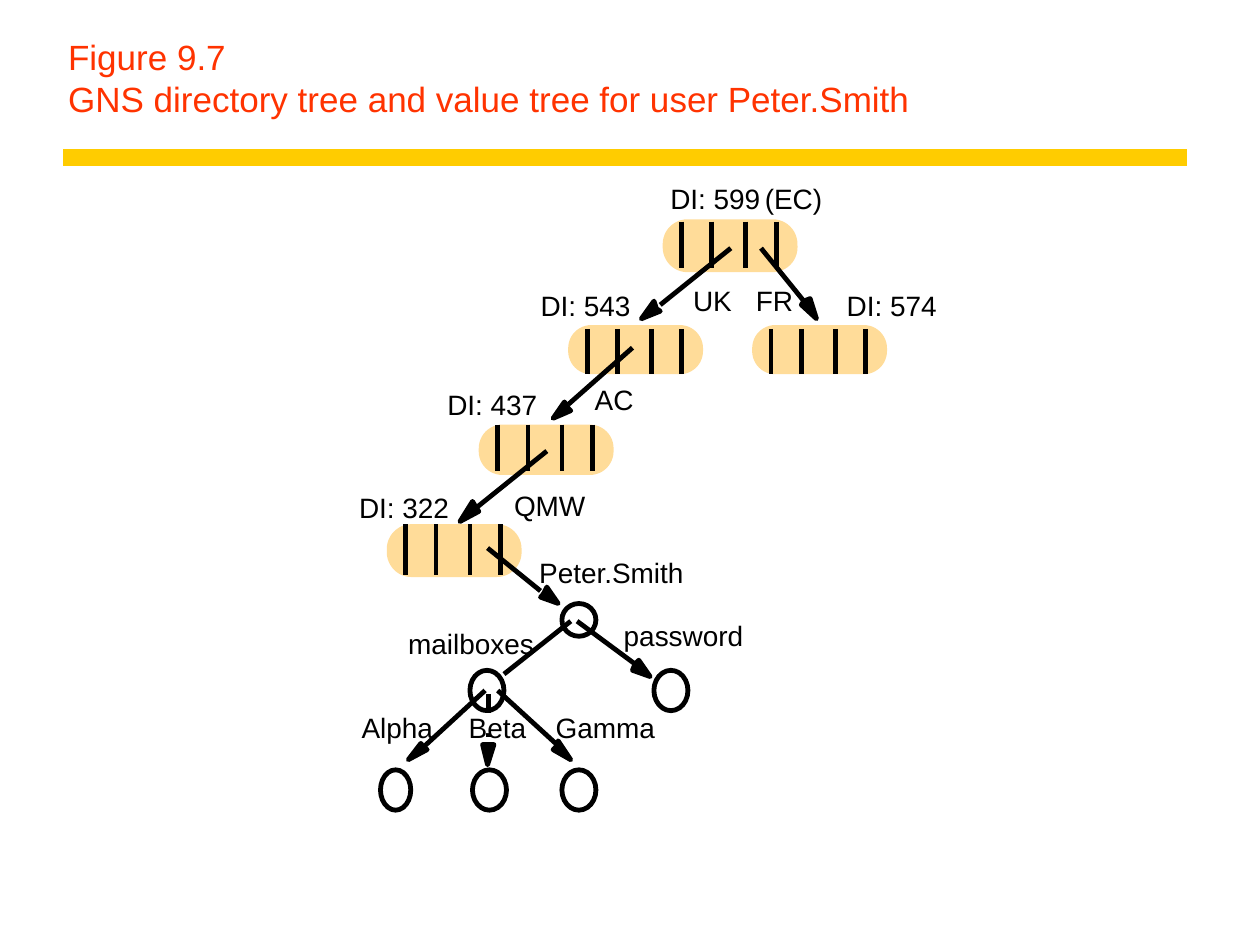
from pptx import Presentation
from pptx.dml.color import RGBColor
from pptx.enum.shapes import MSO_CONNECTOR, MSO_SHAPE
from pptx.enum.text import MSO_ANCHOR, MSO_AUTO_SIZE, PP_ALIGN
from pptx.oxml.ns import qn
from pptx.util import Inches, Pt
from lxml import etree

THEME = {
    "font": "Arial", "title_size": 20, "label_size": 16,
    "title": "FF3300", "rule": "FFCC00", "record": "FFDC99",
    "ink": "000000", "paper": "FFFFFF",
    "rule_width": 10, "stroke": 2.75,
}

TITLE_LINES = ["Figure 9.7", "GNS directory tree and value tree for user Peter.Smith"]

# Directory records: left, top, height, separator top, separator bottom
RECORD_WIDTH = 1.07
SEPARATOR_OFFSETS = [0.15, 0.39, 0.66, 0.9]
RECORDS = [
    (5.26, 1.74, 0.42, 1.76, 2.13),
    (4.51, 2.58, 0.39, 2.61, 2.97),
    (5.97, 2.58, 0.39, 2.61, 2.97),
    (3.8, 3.37, 0.4, 3.37, 3.74),
    (3.07, 4.16, 0.42, 4.16, 4.56),
]

# Value tree nodes: left, top, width, height
NODES = [
    (4.46, 4.79, 0.27, 0.26),
    (3.73, 5.32, 0.27, 0.32), (5.19, 5.32, 0.27, 0.32),
    (3.02, 6.11, 0.24, 0.32), (3.75, 6.11, 0.27, 0.32), (4.46, 6.11, 0.27, 0.32),
]

# Branches: start, end, outline of the arrowhead
BRANCHES = [
    ((5.8, 1.97), (5.24, 2.42), [(5.21, 2.45), (5.24, 2.47), (5.09, 2.53), (5.19, 2.39)]),
    ((6.04, 1.97), (6.38, 2.39), [(6.38, 2.39), (6.43, 2.37), (6.48, 2.53), (6.36, 2.42)]),
    ((5.02, 2.76), (4.51, 3.21), [(4.51, 3.24), (4.53, 3.26), (4.39, 3.32), (4.48, 3.19)]),
    ((4.34, 3.58), (3.78, 4.03), [(3.78, 4.03), (3.8, 4.06), (3.65, 4.14), (3.75, 3.98)]),
    ((3.87, 4.35), (4.29, 4.69), [(4.31, 4.72), (4.34, 4.66), (4.43, 4.79), (4.29, 4.74)]),
    ((4.53, 4.93), (4, 5.35), []),
    ((4.58, 4.93), (5.04, 5.27), [(5.04, 5.27), (5.07, 5.24), (5.16, 5.37), (5.02, 5.32)]),
    ((3.85, 5.48), (3.36, 5.93), [(3.36, 5.93), (3.39, 5.95), (3.24, 6.03), (3.34, 5.9)]),
    ((3.88, 5.51), (3.88, 5.85), [(3.87, 5.91), (3.92, 5.91), (3.87, 6.07), (3.83, 5.91)]),
    ((3.95, 5.48), (4.41, 5.9), [(4.41, 5.93), (4.43, 5.88), (4.53, 6.03), (4.39, 5.95)]),
]

BETA_BACKING = (3.68, 5.66, 0.41, 0.16)

# Labels: text, left, top, width
LABEL_HEIGHT = 0.27
LABELS = [
    ("DI: 599", 5.32, 1.44, 0.78), ("(EC)", 6.07, 1.44, 0.46),
    ("DI: 543", 4.29, 2.29, 0.72), ("DI: 574", 6.72, 2.29, 0.72),
    ("DI: 437", 3.55, 3.08, 0.72), ("DI: 322", 2.85, 3.89, 0.72),
    ("UK", 5.5, 2.25, 0.31), ("FR", 6, 2.25, 0.3),
    ("AC", 4.72, 3.04, 0.31), ("QMW", 4.08, 3.88, 0.57),
    ("Peter.Smith", 4.28, 4.41, 1.16),
    ("mailboxes", 3.24, 4.97, 1), ("password", 4.95, 4.91, 0.95),
    ("Alpha", 2.87, 5.64, 0.57), ("Beta", 3.72, 5.64, 0.46), ("Gamma", 4.41, 5.64, 0.79),
]


def color(role):
    return RGBColor.from_string(THEME[role])


def paint(shape, fill, outlined):
    shape.shadow.inherit = False
    shape.fill.solid()
    shape.fill.fore_color.rgb = color(fill)
    if outlined:
        shape.line.color.rgb = color("ink")
        shape.line.width = Pt(THEME["stroke"])
    else:
        shape.line.fill.background()


def add_preset(slide, preset, bounds, fill, outlined=False):
    shape = slide.shapes.add_shape(preset, *map(Inches, bounds))
    paint(shape, fill, outlined)
    return shape


def add_line(slide, start, end, role="ink", width=THEME["stroke"]):
    line = slide.shapes.add_connector(MSO_CONNECTOR.STRAIGHT, *map(Inches, start + end))
    line.line.color.rgb = color(role)
    line.line.width = Pt(width)
    etree.SubElement(line._element.spPr, qn("a:effectLst"))


def add_run(paragraph, text, size, role):
    run = paragraph.add_run()
    run.text = text
    run.font.name = THEME["font"]
    run.font.size = Pt(THEME[size])
    run.font.color.rgb = color(role)


def add_title(slide):
    title = slide.shapes.title
    title.left, title.top, title.width, title.height = map(Inches, (0.44, 0.25, 8.97, 0.75))
    frame = title.text_frame
    frame.auto_size = MSO_AUTO_SIZE.NONE
    frame.vertical_anchor = MSO_ANCHOR.BOTTOM
    paragraph = frame.paragraphs[0]
    paragraph.alignment = PP_ALIGN.LEFT
    for index, text in enumerate(TITLE_LINES):
        if index:
            paragraph.add_line_break()
        add_run(paragraph, text, "title_size", "title")


def add_record(slide, left, top, height, separator_top, separator_bottom):
    record = add_preset(slide, MSO_SHAPE.ROUNDED_RECTANGLE,
                        (left, top, RECORD_WIDTH, height), "record")
    record.adjustments[0] = 0.47
    for offset in SEPARATOR_OFFSETS:
        add_line(slide, (left + offset, separator_top), (left + offset, separator_bottom))


def add_branch(slide, start, end, head):
    add_line(slide, start, end)
    if head:
        corners = [(Inches(x), Inches(y)) for x, y in head]
        builder = slide.shapes.build_freeform(*corners[0])
        builder.add_line_segments(corners[1:], close=True)
        paint(builder.convert_to_shape(), "ink", True)


def add_label(slide, text, left, top, width):
    box = slide.shapes.add_textbox(*map(Inches, (left, top, width, LABEL_HEIGHT)))
    frame = box.text_frame
    frame.margin_left = frame.margin_right = frame.margin_top = frame.margin_bottom = 0
    frame.word_wrap = False
    frame.auto_size = MSO_AUTO_SIZE.SHAPE_TO_FIT_TEXT
    add_run(frame.paragraphs[0], text, "label_size", "ink")


def main():
    deck = Presentation()
    deck.slide_width, deck.slide_height = Inches(10), Inches(7.5)
    slide = deck.slides.add_slide(deck.slide_layouts[5])

    add_line(slide, (0.5, 1.25), (9.42, 1.25), "rule", THEME["rule_width"])
    add_title(slide)
    for record in RECORDS:
        add_record(slide, *record)
    for node in NODES:
        add_preset(slide, MSO_SHAPE.OVAL, node, "paper", outlined=True)
    for branch in BRANCHES:
        add_branch(slide, *branch)
    add_preset(slide, MSO_SHAPE.RECTANGLE, BETA_BACKING, "paper")
    for label in LABELS:
        add_label(slide, *label)

    deck.save("out.pptx")


if __name__ == "__main__":
    main()
